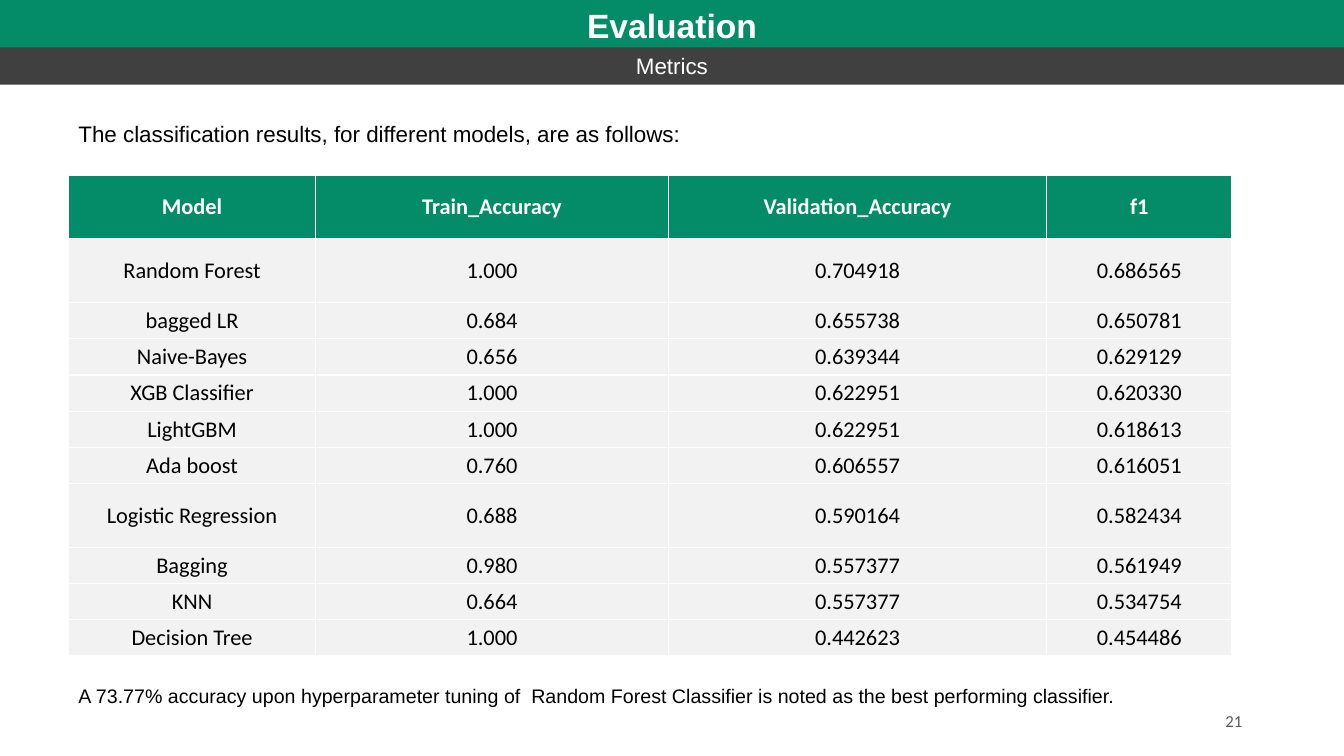
from pptx import Presentation
from pptx.dml.color import RGBColor
from pptx.enum.shapes import MSO_SHAPE as Shape
from pptx.enum.text import MSO_ANCHOR as Anchor, PP_ALIGN as Align
from pptx.util import Inches, Pt

GREEN = RGBColor(0x04, 0x8C, 0x68)
DARK = RGBColor(0x40, 0x40, 0x40)
GRAY = RGBColor(0x59, 0x59, 0x59)
PALE = RGBColor(0xF2, 0xF2, 0xF2)
WHITE = RGBColor(0xFF, 0xFF, 0xFF)
BLACK = RGBColor(0, 0, 0)


def put_text(frame, text, size, color, align, face="Arial", bold=False):
    """Fill a text frame or table cell frame with one styled line."""
    frame.text = text
    line = frame.paragraphs[0]
    line.alignment = align
    font = line.runs[0].font
    font.name, font.size, font.bold = face, Pt(size), bold
    font.color.rgb = color


deck = Presentation()
deck.slide_width, deck.slide_height = Inches(13.33), Inches(7.5)
slide = deck.slides.add_slide(deck.slide_layouts[6])

# Title bars
bars = [
    ("Evaluation", 0, 0.5, GREEN, 24, True),
    ("Metrics", 0.47, 0.37, DARK, 16, False),
]
for text, top, height, fill, size, bold in bars:
    bar = slide.shapes.add_shape(
        Shape.RECTANGLE, 0, Inches(top), deck.slide_width, Inches(height))
    bar.shadow.inherit = False
    bar.fill.solid()
    bar.fill.fore_color.rgb = fill
    bar.line.fill.background()
    bar.text_frame.vertical_anchor = Anchor.TOP
    put_text(bar.text_frame, text, size, WHITE, Align.CENTER, bold=bold)

# Results table
rows = [
    ("Model", "Train_Accuracy", "Validation_Accuracy", "f1"),
    ("Random Forest", "1.000", "0.704918", "0.686565"),
    ("bagged LR", "0.684", "0.655738", "0.650781"),
    ("Naive-Bayes", "0.656", "0.639344", "0.629129"),
    ("XGB Classifier", "1.000", "0.622951", "0.620330"),
    ("LightGBM", "1.000", "0.622951", "0.618613"),
    ("Ada boost", "0.760", "0.606557", "0.616051"),
    ("Logistic Regression", "0.688", "0.590164", "0.582434"),
    ("Bagging", "0.980", "0.557377", "0.561949"),
    ("KNN", "0.664", "0.557377", "0.534754"),
    ("Decision Tree", "1.000", "0.442623", "0.454486"),
]
widths = [2.45, 3.5, 3.75, 1.84]
tall = ("Model", "Random Forest", "Logistic Regression")

table = slide.shapes.add_table(
    len(rows), len(widths), Inches(0.68), Inches(1.74),
    Inches(sum(widths)), Inches(4.76)).table
table.horz_banding = False
for col, width in zip(table.columns, widths):
    col.width = Inches(width)
for r, row in enumerate(rows):
    table.rows[r].height = Inches(0.63 if row[0] in tall else 0.36)
    head = r == 0
    for c, text in enumerate(row):
        cell = table.cell(r, c)
        cell.fill.solid()
        cell.fill.fore_color.rgb = GREEN if head else PALE
        cell.vertical_anchor = Anchor.MIDDLE
        cell.margin_left = cell.margin_right = Inches(0.09)
        cell.margin_top = cell.margin_bottom = Inches(0.04)
        put_text(cell.text_frame, text, 16, WHITE if head else BLACK,
                 Align.CENTER, "Calibri", head)

# Notes around the table and page number
notes = [
    ("The classification results, for different models, are as follows:",
     (0.68, 1.14, 6.67, 0.37), 16, BLACK, Align.LEFT, "Arial", Anchor.TOP),
    ("A 73.77% accuracy upon hyperparameter tuning of  Random Forest "
     "Classifier is noted as the best performing classifier.",
     (0.68, 6.74, 11.01, 0.34), 14, BLACK, Align.LEFT, "Arial", Anchor.TOP),
    ("21", (9.42, 6.95, 3, 0.4), 12, GRAY, Align.RIGHT, "Calibri",
     Anchor.MIDDLE),
]
for text, place, size, color, align, face, anchor in notes:
    frame = slide.shapes.add_textbox(*map(Inches, place)).text_frame
    frame.word_wrap = True
    frame.vertical_anchor = anchor
    put_text(frame, text, size, color, align, face)

deck.save("out.pptx")
